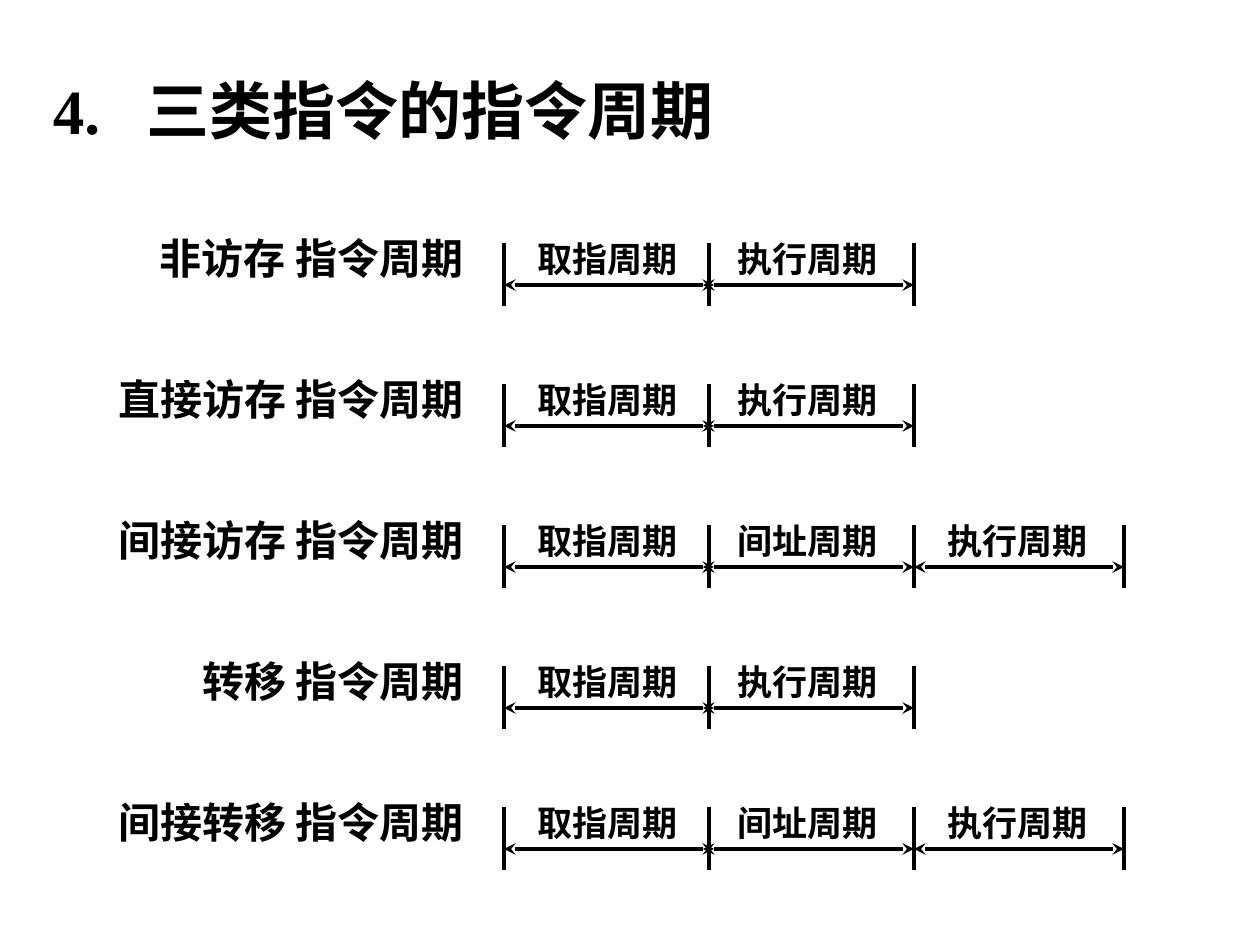
from lxml import etree
from pptx import Presentation
from pptx.dml.color import RGBColor
from pptx.enum.shapes import MSO_CONNECTOR
from pptx.enum.text import MSO_ANCHOR, MSO_AUTO_SIZE, PP_ALIGN
from pptx.oxml.ns import qn
from pptx.util import Emu, Pt

STRAIGHT = MSO_CONNECTOR.STRAIGHT
TOP, MIDDLE = MSO_ANCHOR.TOP, MSO_ANCHOR.MIDDLE
LEFT, RIGHT = PP_ALIGN.LEFT, PP_ALIGN.RIGHT
NO_FIT = MSO_AUTO_SIZE.NONE

BLACK = RGBColor(0, 0, 0)
FONT = "Times New Roman"
EMU_PER_PX = 914400 / 126

# Timeline geometry, in px
ROW_TOP, ROW_STEP = 243, 141
TICKS = [504, 709, 914, 1124]
ARROWS = [(504, 714), (703, 914), (914, 1124)]
PHASE_LEFTS = [525, 725, 935]
TICK_HEIGHT, ARROW_DROP = 63, 42
LABEL_RIGHT, CHAR_WIDTH, LABEL_PAD = 476, 42, 34

FETCH, INDIRECT, EXECUTE = "取指周期", "间址周期", "执行周期"
ROWS = [
    ("非访存 指令周期", [FETCH, EXECUTE]),
    ("直接访存 指令周期", [FETCH, EXECUTE]),
    ("间接访存 指令周期", [FETCH, INDIRECT, EXECUTE]),
    ("转移 指令周期", [FETCH, EXECUTE]),
    ("间接转移 指令周期", [FETCH, INDIRECT, EXECUTE]),
]


def px(n):
    return Emu(round(n * EMU_PER_PX))


def write_text(sp, text, size, align=LEFT, anchor=TOP):
    tf = sp.text_frame
    tf.auto_size = NO_FIT
    tf.word_wrap = False
    tf.vertical_anchor = anchor
    p = tf.paragraphs[0]
    p.text = text
    p.alignment = align
    font = p.font
    font.name, font.size, font.bold = FONT, Pt(size), True
    font.color.rgb = BLACK
    return tf


def add_label(shapes, text, x, y, w, h, **fmt):
    write_text(shapes.add_textbox(px(x), px(y), px(w), px(h)), text, **fmt)


def add_line(shapes, x1, y1, x2, y2, arrows=False):
    line = shapes.add_connector(STRAIGHT, px(x1), px(y1), px(x2), px(y2))
    line.line.color.rgb = BLACK
    line.line.width = Pt(2.25)
    if arrows:
        ln = line.line._get_or_add_ln()
        for end in ("a:headEnd", "a:tailEnd"):
            etree.SubElement(ln, qn(end), type="stealth")
    etree.SubElement(line._element.spPr, qn("a:effectLst"))


def add_title(slide, number, text):
    sp = slide.shapes.title
    sp.left, sp.top, sp.width, sp.height = px(53), px(73), px(690), px(73)
    tf = write_text(sp, f"{number}\t{text}", size=36, anchor=MIDDLE)
    tf.word_wrap = True
    tf.margin_left = tf.margin_right = 0
    # Hanging indent sets the gap after the number
    pPr = tf.paragraphs[0]._p.get_or_add_pPr()
    pPr.set("marL", str(px(94)))
    pPr.set("indent", str(-px(94)))


def add_timeline(slide, top, phases):
    shapes = slide.shapes.add_group_shape().shapes
    for x in TICKS[:len(phases) + 1]:
        add_line(shapes, x, top, x, top + TICK_HEIGHT)
    for phase, (x1, x2), left in zip(phases, ARROWS, PHASE_LEFTS):
        y = top + ARROW_DROP
        add_line(shapes, x1, y, x2, y, arrows=True)
        add_label(shapes, phase, left, top - 12, 165, 55, size=20)


def add_row_label(slide, top, text):
    width = LABEL_PAD + CHAR_WIDTH * len(text.replace(" ", ""))
    add_label(slide.shapes, text, LABEL_RIGHT - width, top - 17, width, 63,
              size=24, align=RIGHT)


def main():
    prs = Presentation()
    prs.slide_width, prs.slide_height = px(1260), px(945)
    slide = prs.slides.add_slide(prs.slide_layouts[5])

    # Heading
    add_title(slide, "4.", "三类指令的指令周期")

    # One row per instruction type
    for i, (name, phases) in enumerate(ROWS):
        top = ROW_TOP + i * ROW_STEP
        add_timeline(slide, top, phases)
        add_row_label(slide, top, name)

    prs.save("out.pptx")


if __name__ == "__main__":
    main()
